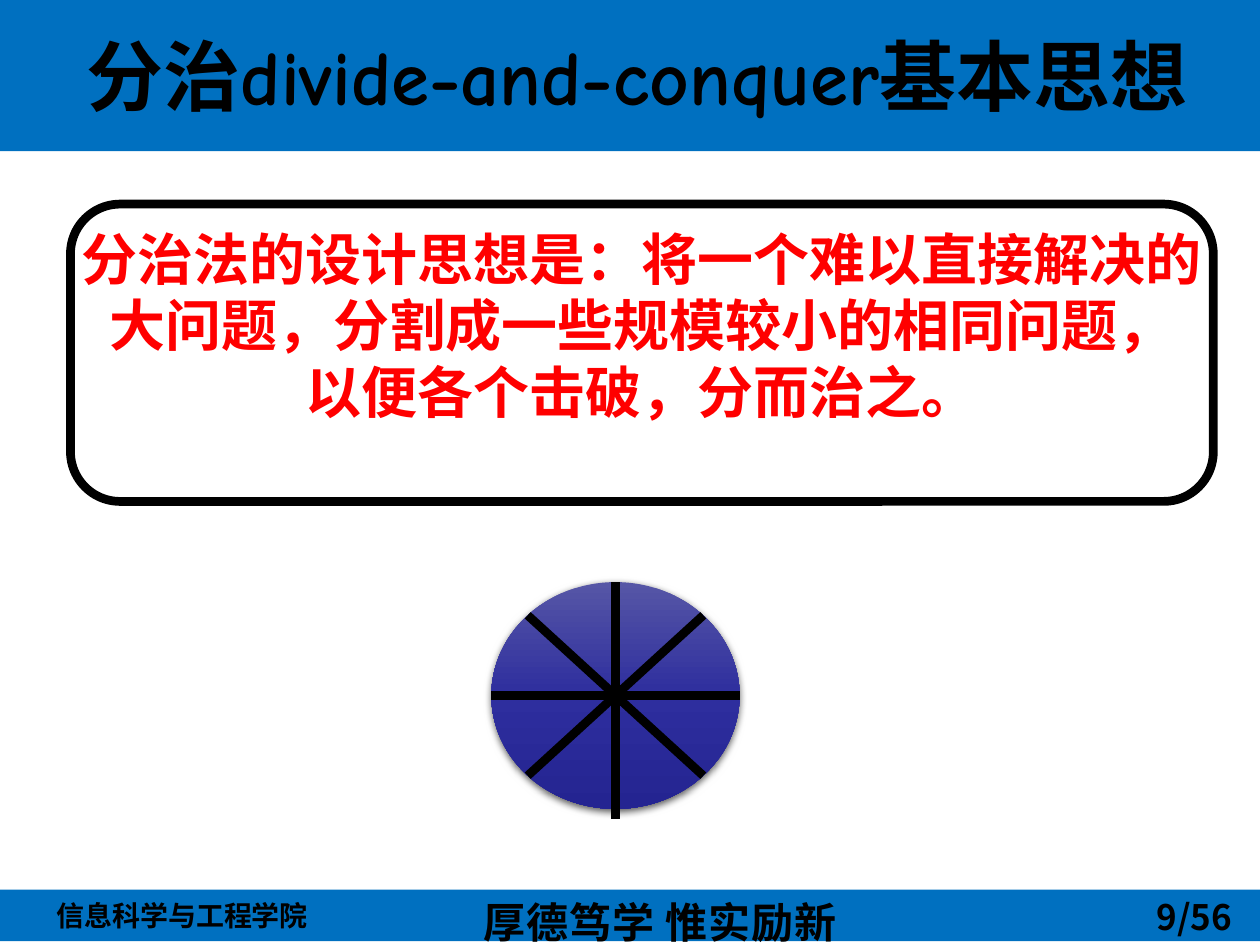
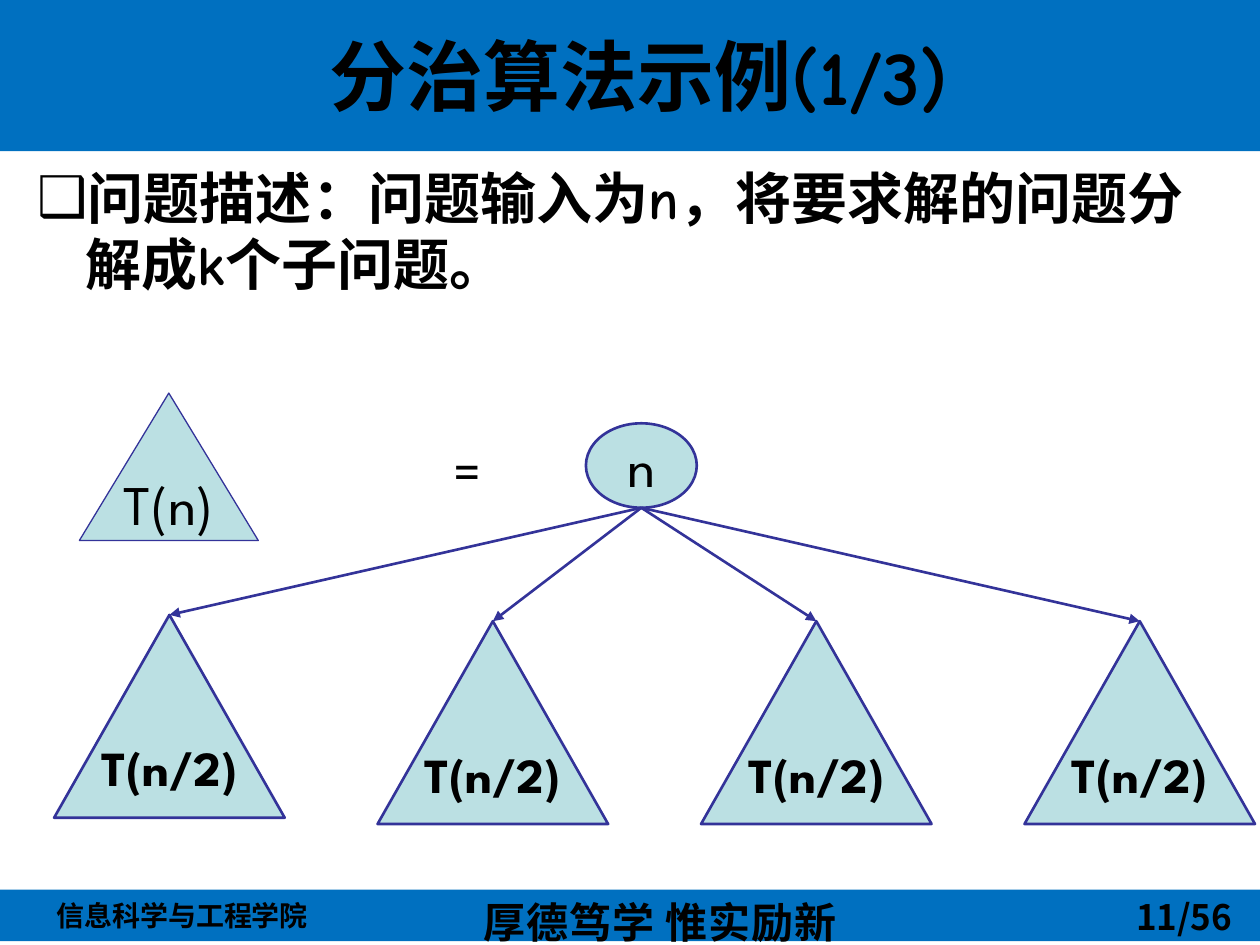
from math import cos, pi, sin

from lxml import etree
from pptx import Presentation
from pptx.dml.color import RGBColor
from pptx.enum.shapes import MSO_CONNECTOR, MSO_SHAPE
from pptx.enum.text import MSO_ANCHOR, MSO_AUTO_SIZE, PP_ALIGN
from pptx.oxml import parse_xml
from pptx.oxml.ns import nsdecls, qn
from pptx.util import Inches, Pt

RECT, ROUNDED, OVAL, TRIANGLE = (
    MSO_SHAPE.RECTANGLE, MSO_SHAPE.ROUNDED_RECTANGLE, MSO_SHAPE.OVAL, MSO_SHAPE.ISOSCELES_TRIANGLE)
STRAIGHT = MSO_CONNECTOR.STRAIGHT
LEFT, CENTER, RIGHT = PP_ALIGN.LEFT, PP_ALIGN.CENTER, PP_ALIGN.RIGHT
TOP, MIDDLE = MSO_ANCHOR.TOP, MSO_ANCHOR.MIDDLE
FIXED = MSO_AUTO_SIZE.NONE

BLACK, RED, BAND_BLUE, PALE, NAVY = "000000", "FF0000", "0070C0", "BBE0E3", "333399"
HAN, COMIC, SPARTAN = "Noto Sans CJK SC", "Comic Neue", "League Spartan"
LINE_RATIO = 1.2

SCHOOL = "信息科学与工程学院"
MOTTO = "厚德笃学 惟实励新"
PAGE_COUNT = 56

IDEA_TITLE = "分治divide-and-conquer基本思想"
IDEA = [
    "分治法的设计思想是：将一个难以直接解决的",
    "大问题，分割成一些规模较小的相同问题，",
    "以便各个击破，分而治之。",
]
DISC = (3.9, 4.62, 1.97, 1.8)
DISC_STOPS = [(0, "5656A6"), (50, "2E2E9E"), (100, "242491")]
SPOKE_COUNT = 4
SPOKE_OVERHANG = 0.08

EXAMPLE_TITLE = "分治算法示例(1/3)"
PROBLEM = "问题描述：问题输入为n，将要求解的问题分解成k个子问题。"
ROOT = (4.65, 3.36, 0.88, 0.67)
SUBPROBLEMS = ["T(n/2)"] * 4
SUB_LEFT, SUB_PITCH, SUB_WIDTH, SUB_HEIGHT = 0.43, 2.567, 1.83, 1.61
SUB_TOPS = [4.88, 4.93, 4.93, 4.93]


def rgb(value):
    return RGBColor.from_string(value)


def lengths(box):
    return [Inches(value) for value in box]


def write(frame, lines, size, font=HAN, color=BLACK, bold=True, align=LEFT, anchor=TOP, wrap=False):
    frame.auto_size = FIXED
    frame.word_wrap = wrap
    frame.vertical_anchor = anchor
    frame.text = "\n".join(lines)
    for paragraph in frame.paragraphs:
        paragraph.alignment = align
        paragraph.line_spacing = Pt(round(size * LINE_RATIO))
        paragraph.font.size = Pt(size)
        paragraph.font.bold = bold
        paragraph.font.name = font
        paragraph.font.color.rgb = rgb(color)
        defaults = paragraph._p.pPr.find(qn("a:defRPr"))
        etree.SubElement(defaults, qn("a:ea"), typeface=HAN)


def add_figure(slide, preset, box, fill=None, line=None, width=1.5):
    figure = slide.shapes.add_shape(preset, *lengths(box))
    figure.shadow.inherit = False
    if fill:
        figure.fill.solid()
        figure.fill.fore_color.rgb = rgb(fill)
    else:
        figure.fill.background()
    if line:
        figure.line.color.rgb = rgb(line)
        figure.line.width = Pt(width)
    else:
        figure.line.fill.background()
    return figure


def add_label(slide, box, text, size, **style):
    label = slide.shapes.add_textbox(*lengths(box))
    write(label.text_frame, [text], size, **style)
    return label


def add_line(slide, start, end, color, width, arrow=False):
    line = slide.shapes.add_connector(STRAIGHT, *lengths(start + end))
    line.line.color.rgb = rgb(color)
    line.line.width = Pt(width)
    if arrow:
        etree.SubElement(line.line._get_or_add_ln(), qn("a:tailEnd"), type="triangle")
    etree.SubElement(line._element.spPr, qn("a:effectLst"))
    return line


def add_master_bands(slide, master):
    title_band = add_figure(slide, RECT, (0, -0.03, 10, 1.23), BAND_BLUE)
    footer_band = add_figure(slide, RECT, (-0.04, 7.06, 10.04, 0.41), BAND_BLUE)
    write(footer_band.text_frame, [SCHOOL], 16, anchor=MIDDLE, wrap=True)
    footer_band.text_frame.margin_left = Inches(0.49)
    motto = add_label(slide, (3.74, 7.06, 3.04, 0.5), MOTTO, 24)
    motto.text_frame.paragraphs[0].runs[0].font._element.set("spc", "50")
    for position, part in enumerate([title_band, footer_band, motto], start=2):
        master.shapes.element.insert(position, part.element)


def add_slide(prs, layout, title, title_left, title_width, page):
    slide = prs.slides.add_slide(prs.slide_layouts[layout])
    heading = slide.shapes.title
    heading.left, heading.top, heading.width, heading.height = lengths(
        (title_left, -0.03, title_width, 1.25))
    write(heading.text_frame, [title], 44, COMIC, align=CENTER, anchor=MIDDLE, wrap=True)
    add_label(slide, (7.55, 7.06, 2.33, 0.41), f"{page}/{PAGE_COUNT}", 20, align=RIGHT, wrap=True)
    return slide


def add_disc(slide):
    disc = add_figure(slide, OVAL, DISC, NAVY)
    properties = disc._element.spPr
    stops = "".join(
        f'<a:gs pos="{place * 1000}"><a:srgbClr val="{color}"/></a:gs>' for place, color in DISC_STOPS)
    properties.replace(properties.find(qn("a:solidFill")), parse_xml(
        f'<a:gradFill {nsdecls("a")} rotWithShape="1"><a:gsLst>{stops}</a:gsLst>'
        '<a:lin ang="5400000" scaled="0"/></a:gradFill>'))
    properties.find(qn("a:effectLst")).append(parse_xml(
        f'<a:outerShdw {nsdecls("a")} blurRad="57150" dist="19050" dir="5400000" rotWithShape="0">'
        f'<a:srgbClr val="{BLACK}"><a:alpha val="63000"/></a:srgbClr></a:outerShdw>'))

    left, top, width, height = DISC
    middle_x, middle_y = left + width / 2, top + height / 2
    for spoke in range(SPOKE_COUNT):
        angle = spoke * pi / SPOKE_COUNT
        dx, dy = cos(angle) * width / 2, sin(angle) * height / 2
        overhang = SPOKE_OVERHANG if spoke == SPOKE_COUNT // 2 else 0
        add_line(slide, (middle_x - dx, middle_y - dy),
                 (middle_x + dx, middle_y + dy + overhang), BLACK, 5)


def build_idea(prs):
    slide = add_slide(prs, 5, IDEA_TITLE, 0.12, 9.88, 9)
    add_master_bands(slide, prs.slide_master)
    idea_box = add_figure(slide, ROUNDED, (0.56, 1.62, 9.07, 2.36), line=BLACK, width=5)
    write(idea_box.text_frame, IDEA, 32, color=RED, align=CENTER)
    add_disc(slide)


def build_example(prs):
    slide = add_slide(prs, 1, EXAMPLE_TITLE, 0.57, 9, 11)
    body = slide.placeholders[1]
    body.left, body.top, body.width, body.height = lengths((0.2, 1.25, 9.61, 5.72))
    write(body.text_frame, [PROBLEM], 32, COMIC, wrap=True)
    indents = body.text_frame.paragraphs[0]._p.pPr
    indents.set("marL", str(Inches(0.38)))
    indents.set("indent", str(Inches(-0.38)))
    bullet = etree.Element(qn("a:buChar"), char="❑")
    indents.find(qn("a:defRPr")).addprevious(bullet)

    root = add_figure(slide, OVAL, ROOT, PALE, NAVY)
    write(root.text_frame, ["n"], 32, SPARTAN, bold=False, align=CENTER, anchor=MIDDLE)
    left, top, width, height = ROOT
    root_foot = (left + width / 2, top + height)
    for column, (text, sub_top) in enumerate(zip(SUBPROBLEMS, SUB_TOPS)):
        sub_left = SUB_LEFT + column * SUB_PITCH
        subproblem = add_figure(
            slide, TRIANGLE, (sub_left, sub_top, SUB_WIDTH, SUB_HEIGHT), PALE, NAVY)
        write(subproblem.text_frame, [text], 28, SPARTAN, align=CENTER, anchor=MIDDLE)
        arrow = add_line(slide, root_foot, (sub_left + SUB_WIDTH / 2, sub_top), NAVY, 1.5, arrow=True)
        arrow.end_connect(subproblem, 0)

    whole = add_figure(slide, TRIANGLE, (0.63, 3.12, 1.42, 1.17), PALE, NAVY, 0.75)
    write(whole.text_frame, ["T(n)"], 32, SPARTAN, bold=False, align=CENTER, anchor=MIDDLE)
    add_label(slide, (3.13, 3.41, 1.17, 0.63), "=", 32, font=SPARTAN, bold=False,
              align=CENTER, anchor=MIDDLE, wrap=True)


def main():
    prs = Presentation()
    prs.slide_width, prs.slide_height = Inches(10), Inches(7.5)
    build_idea(prs)
    build_example(prs)
    prs.save("out.pptx")


if __name__ == "__main__":
    main()
